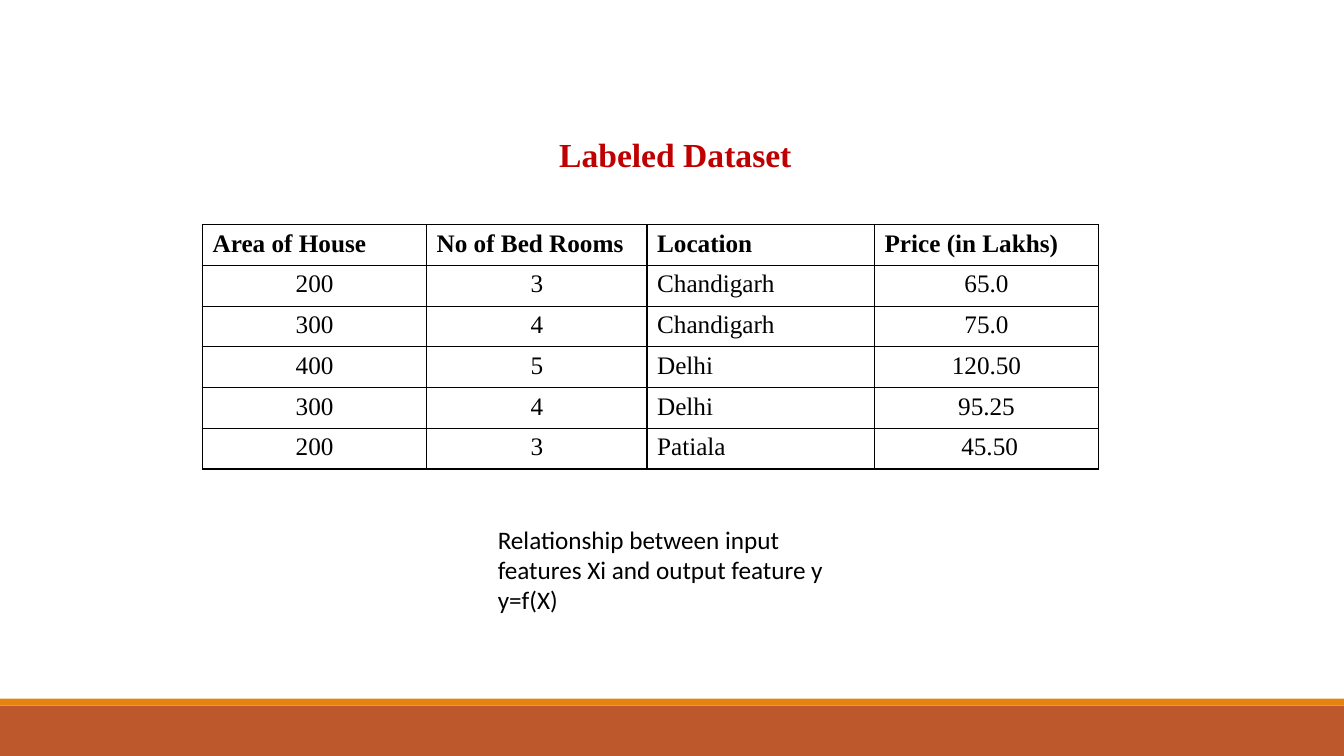
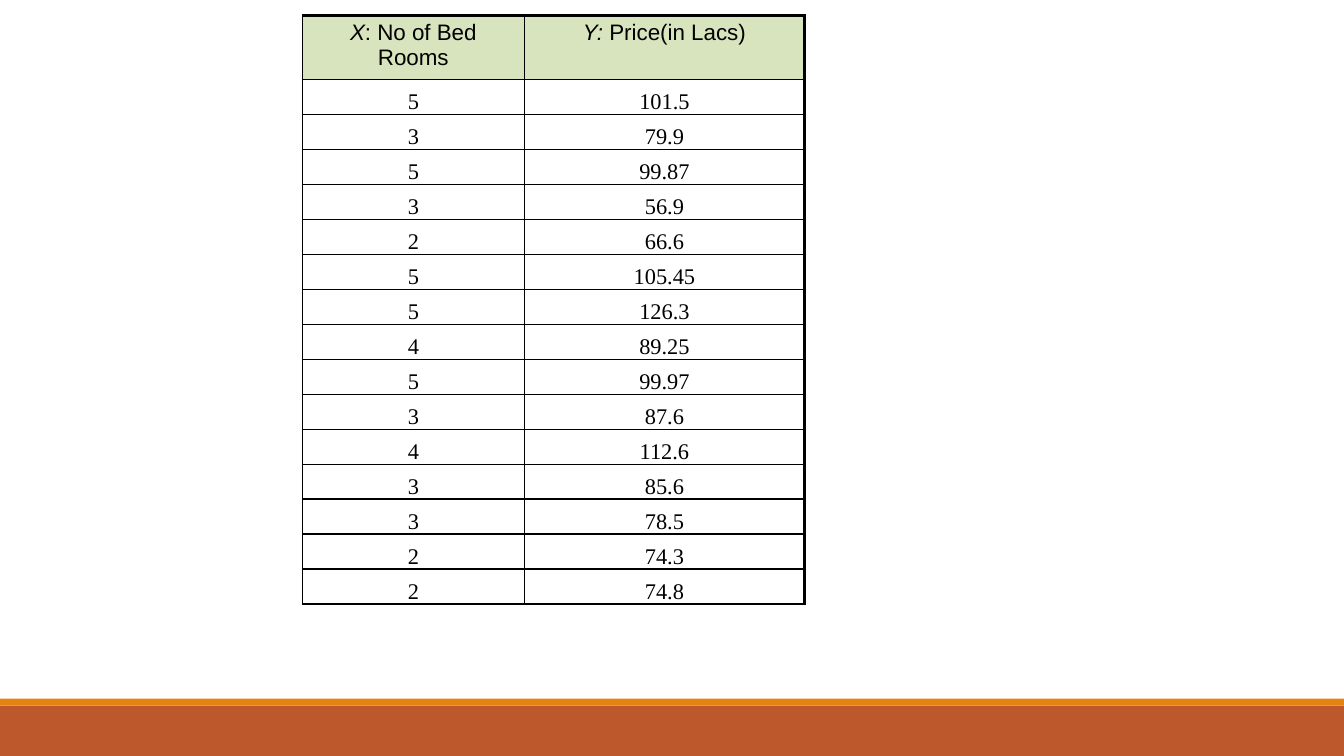
from dataclasses import dataclass, field
from typing import Any

from lxml import etree
from pptx import Presentation
from pptx import util as u
from pptx.dml.color import RGBColor
from pptx.enum import shapes, text
from pptx.oxml import ns

Pt = u.Pt
LEFT, CENTER = text.PP_ALIGN.LEFT, text.PP_ALIGN.CENTER
Box = tuple[float, float, float, float]  # left, top, width, height


@dataclass(frozen=True)
class Theme:
    ink: str = "000000"
    title: str = "C00000"
    header_fill: str = "D7E4BD"
    footer: str = "BD582C"
    stripe: str = "E48312"
    serif: str = "Times New Roman"
    sans: str = "Arial"
    body: str = "Calibri"
    title_size: int = 24
    text_size: int = 18
    small_size: int = 16


THEME = Theme()


@dataclass(frozen=True)
class Band:
    top: float
    height: float
    color: str


@dataclass(frozen=True)
class TextStyle:
    name: str
    size: int
    color: str = THEME.ink
    bold: bool = False


@dataclass(frozen=True)
class Run:
    text: str
    italic: bool = False


@dataclass(frozen=True)
class CellStyle:
    font: TextStyle
    aligns: tuple[Any, ...]
    fill: str | None = None
    layout: dict[str, Any] = field(default_factory=dict)


@dataclass(frozen=True)
class TableSpec:
    left: float
    top: float
    columns: tuple[float, ...]
    header_height: float
    row_height: float
    header_style: CellStyle
    body_style: CellStyle
    header: tuple[tuple[Run, ...], ...]
    rows: tuple[tuple[str, ...], ...]
    line: float = 1
    top_line: float = 1
    right_line: float = 1


BANDS = (Band(504, 36, THEME.footer), Band(499, 5, THEME.stripe))
HOUSE_ALIGNS = (CENTER, CENTER, LEFT, CENTER)

HOUSES = TableSpec(
    left=144.7, top=160.5, columns=(160, 157.5, 162.5, 160),
    header_height=29.1, row_height=29.1,
    header_style=CellStyle(TextStyle(THEME.serif, THEME.text_size, bold=True), (LEFT,) * 4),
    body_style=CellStyle(TextStyle(THEME.serif, THEME.text_size), HOUSE_ALIGNS),
    header=((Run("Area of House"),), (Run("No of Bed Rooms"),),
            (Run("Location"),), (Run("Price (in Lakhs)"),)),
    rows=(
        ("200", "3", "Chandigarh", "65.0"),
        ("300", "4", "Chandigarh", "75.0"),
        ("400", "5", "Delhi", "120.50"),
        ("300", "4", "Delhi", "95.25"),
        ("200", "3", "Patiala", " 45.50"),
    ),
)

PRICES = TableSpec(
    left=216, top=11.2, columns=(158.5, 200.2),
    header_height=44, row_height=25,
    header_style=CellStyle(TextStyle(THEME.sans, THEME.small_size), (CENTER,) * 2,
                           THEME.header_fill),
    body_style=CellStyle(
        TextStyle(THEME.serif, THEME.small_size), (CENTER,) * 2,
        layout={"vertical_anchor": text.MSO_ANCHOR.BOTTOM, "margin_left": Pt(0.7),
                "margin_right": Pt(0.7), "margin_top": Pt(0.7), "margin_bottom": Pt(0)}),
    header=((Run("X", True), Run(": No of Bed Rooms")),
            (Run("Y: ", True), Run("Price(in Lacs)"))),
    rows=(
        ("5", "101.5"), ("3", "79.9"), ("5", "99.87"), ("3", "56.9"), ("2", "66.6"),
        ("5", "105.45"), ("5", "126.3"), ("4", "89.25"), ("5", "99.97"), ("3", "87.6"),
        ("4", "112.6"), ("3", "85.6"), ("3", "78.5"), ("2", "74.3"), ("2", "74.8"),
    ),
    top_line=2.25, right_line=2.25,
)


def set_attributes(target: Any, values: dict[str, Any]) -> None:
    for name, value in values.items():
        setattr(target, name, value)


def write_runs(paragraph: Any, runs: tuple[Run, ...], style: TextStyle) -> None:
    for item in runs:
        run = paragraph.add_run()
        run.text = item.text
        set_attributes(run.font, {"name": style.name, "size": Pt(style.size),
                                  "bold": style.bold, "italic": item.italic})
        run.font.color.rgb = RGBColor.from_string(style.color)


def add_text(slide: Any, box: Box, lines: tuple[str, ...], style: TextStyle,
             paragraph_format: dict[str, Any]) -> None:
    frame = slide.shapes.add_textbox(*map(Pt, box)).text_frame
    set_attributes(frame, {"word_wrap": True,
                           "auto_size": text.MSO_AUTO_SIZE.SHAPE_TO_FIT_TEXT})
    for index, line in enumerate(lines):
        paragraph = frame.add_paragraph() if index else frame.paragraphs[0]
        set_attributes(paragraph, paragraph_format)
        write_runs(paragraph, (Run(line),), style)


def set_borders(cell: Any, widths: dict[str, float]) -> None:
    """Draw the sides L, R, T and B; must run before the cell gets its fill."""
    properties = cell._tc.get_or_add_tcPr()
    for side, width in widths.items():
        line = etree.SubElement(properties, ns.qn(f"a:ln{side}"), w=str(Pt(width)))
        fill = etree.SubElement(line, ns.qn("a:solidFill"))
        etree.SubElement(fill, ns.qn("a:srgbClr"), val=THEME.ink)


def fill_cell(cell: Any, runs: tuple[Run, ...], style: CellStyle, align: Any) -> None:
    set_attributes(cell, style.layout)
    if style.fill:
        cell.fill.solid()
        cell.fill.fore_color.rgb = RGBColor.from_string(style.fill)
    else:
        cell.fill.background()
    paragraph = cell.text_frame.paragraphs[0]
    paragraph.alignment = align
    write_runs(paragraph, runs, style.font)


def add_data_table(slide: Any, spec: TableSpec) -> None:
    heights = [spec.header_height] + [spec.row_height] * len(spec.rows)
    table = slide.shapes.add_table(
        len(heights), len(spec.columns), Pt(spec.left), Pt(spec.top),
        Pt(sum(spec.columns)), Pt(sum(heights))).table
    set_attributes(table, {"first_row": False, "horz_banding": False})
    for column, width in zip(table.columns, spec.columns):
        column.width = Pt(width)
    for row, height in zip(table.rows, heights):
        row.height = Pt(height)

    body = [tuple((Run(value),) for value in row) for row in spec.rows]
    last_column = len(spec.columns) - 1
    for row_index, row_runs in enumerate([spec.header, *body]):
        style = spec.body_style if row_index else spec.header_style
        for column_index, runs in enumerate(row_runs):
            cell = table.cell(row_index, column_index)
            set_borders(cell, {
                "L": spec.line,
                "R": spec.right_line if column_index == last_column else spec.line,
                "T": spec.line if row_index else spec.top_line,
                "B": spec.line,
            })
            fill_cell(cell, runs, style, style.aligns[column_index])


def add_banded_slide(presentation: Any) -> Any:
    slide = presentation.slides.add_slide(presentation.slide_layouts[6])
    for band in BANDS:
        shape = slide.shapes.add_shape(shapes.MSO_SHAPE.RECTANGLE, 0, Pt(band.top),
                                       presentation.slide_width, Pt(band.height))
        shape.shadow.inherit = False
        shape.fill.solid()
        shape.fill.fore_color.rgb = RGBColor.from_string(band.color)
        shape.line.fill.background()
    return slide


def main() -> None:
    presentation = Presentation()
    set_attributes(presentation, {"slide_width": Pt(960), "slide_height": Pt(540)})

    slide = add_banded_slide(presentation)
    add_text(slide, (35.3, 63.4, 894.2, 56.9), ("Labeled Dataset",),
             TextStyle(THEME.serif, THEME.title_size, THEME.title, True),
             {"alignment": CENTER, "line_spacing": 2.0})
    add_data_table(slide, HOUSES)
    add_text(slide, (348.5, 370.8, 254.9, 72.7),
             ("Relationship between input features Xi and output feature y", "y=f(X)"),
             TextStyle(THEME.body, THEME.text_size), {"alignment": LEFT})

    slide = add_banded_slide(presentation)
    add_data_table(slide, PRICES)

    presentation.save("out.pptx")


if __name__ == "__main__":
    main()
